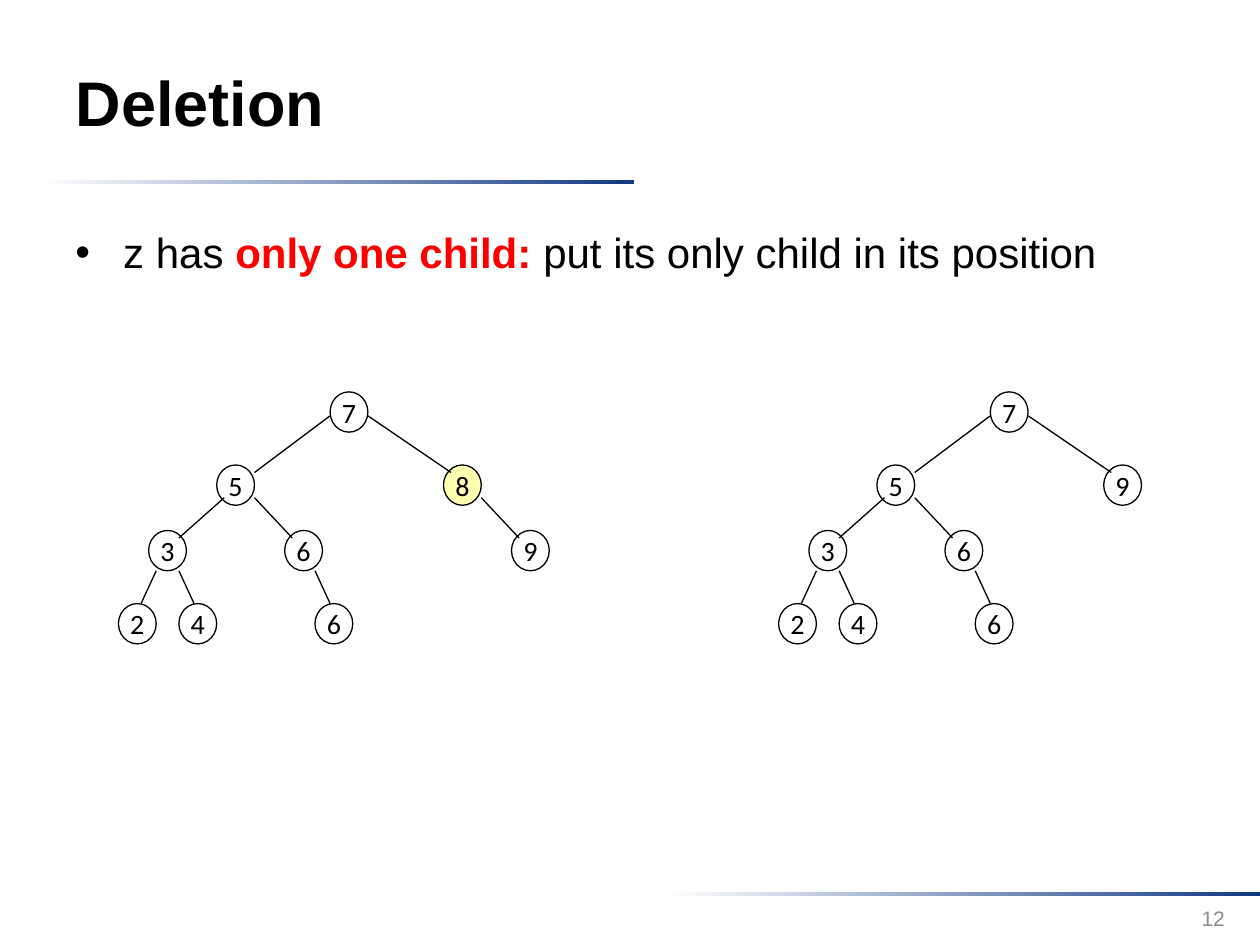
from dataclasses import dataclass
from typing import Optional

from lxml import etree
from pptx import Presentation
from pptx.dml.color import RGBColor
from pptx.enum.shapes import MSO_CONNECTOR, MSO_SHAPE
from pptx.enum.text import MSO_ANCHOR, PP_ALIGN
from pptx.oxml.ns import qn
from pptx.util import Inches, Pt

BLACK = RGBColor(0x00, 0x00, 0x00)
WHITE = RGBColor(0xFF, 0xFF, 0xFF)
RED = RGBColor(0xFF, 0x00, 0x00)
NAVY = RGBColor(0x13, 0x39, 0x84)
GREY = RGBColor(0x8C, 0x8C, 0x8C)
YELLOW = RGBColor(0xFF, 0xFF, 0x66)

NODE_WIDTH, NODE_HEIGHT = 0.3, 0.32
ROW_TOPS = (0, 0.58, 1.1, 1.68)

# For each parent row: the y at which an edge leaves the parent and meets the
# child, then the (parent, child) x for a left and for a right edge.
# All are measured from the top left of the node concerned.
EDGE_ENDS = (
    ((0.19, 0.06), (0, 0.3), (0.3, 0.06)),
    ((0.26, 0.06), (0.06, 0.24), (0.3, 0.06)),
    ((0.32, 0), (0.06, 0.18), (0.24, 0.12)),
)


@dataclass
class Node:
    key: int
    x: float
    left: Optional["Node"] = None
    right: Optional["Node"] = None
    marked: bool = False


def add_run(paragraph, text, size, color=BLACK, bold=False, font="Arial"):
    run = paragraph.add_run()
    run.text = text
    run.font.name = font
    run.font.size = Pt(size)
    run.font.bold = bold
    run.font.color.rgb = color


def add_title(slide, left, top, width, height):
    title = slide.shapes.title
    title.left, title.top = Inches(left), Inches(top)
    title.width, title.height = Inches(width), Inches(height)
    title.text_frame.vertical_anchor = MSO_ANCHOR.MIDDLE
    paragraph = title.text_frame.paragraphs[0]
    paragraph.alignment = PP_ALIGN.LEFT
    add_run(paragraph, "Deletion", 36, bold=True)


def add_rule(slide, left, top, width, height):
    """Thin bar that fades in from white on the left."""
    rule = slide.shapes.add_shape(MSO_SHAPE.RECTANGLE, Inches(left), Inches(top),
                                  Inches(width), Inches(height))
    rule.shadow.inherit = False
    rule.line.fill.background()
    rule.fill.gradient()
    rule.fill.gradient_angle = 0
    for stop, color in zip(rule.fill.gradient_stops, (WHITE, NAVY)):
        stop.color.rgb = color


def add_statement(slide, left, top, width, height):
    statement = slide.shapes.add_textbox(Inches(left), Inches(top),
                                         Inches(width), Inches(height))
    statement.text_frame.word_wrap = True
    paragraph = statement.text_frame.paragraphs[0]
    paragraph.space_before = Pt(3)
    properties = paragraph._p.get_or_add_pPr()
    indent = Inches(0.38)
    properties.set("marL", str(indent))
    properties.set("indent", str(-indent))
    etree.SubElement(properties, qn("a:buFont"), typeface="Arial")
    etree.SubElement(properties, qn("a:buChar"), char="•")
    add_run(paragraph, "z has ", 24)
    add_run(paragraph, "only one child: ", 24, RED, bold=True)
    add_run(paragraph, "put its only child in its position", 24)


def add_node(shapes, node, left, top):
    circle = shapes.add_shape(MSO_SHAPE.OVAL, Inches(left), Inches(top),
                              Inches(NODE_WIDTH), Inches(NODE_HEIGHT))
    circle.shadow.inherit = False
    circle.line.color.rgb = BLACK
    circle.line.width = Pt(0.75)
    if node.marked:
        circle.fill.solid()
        circle.fill.fore_color.rgb = YELLOW
        color = circle._element.spPr.find(qn("a:solidFill"))[0]
        etree.SubElement(color, qn("a:alpha"), val="50000")
    else:
        circle.fill.background()
    frame = circle.text_frame
    frame.word_wrap = False
    frame.vertical_anchor = MSO_ANCHOR.MIDDLE
    frame.paragraphs[0].alignment = PP_ALIGN.CENTER
    add_run(frame.paragraphs[0], str(node.key), 16, font="Calibri")


def add_edge(shapes, x1, y1, x2, y2):
    edge = shapes.add_connector(MSO_CONNECTOR.STRAIGHT, Inches(x1), Inches(y1),
                                Inches(x2), Inches(y2))
    edge.line.color.rgb = BLACK
    edge.line.width = Pt(0.75)
    etree.SubElement(edge._element.spPr, qn("a:effectLst"))


def add_subtree(shapes, node, left, top, row=0):
    """Draw the node, then its edges and children; left and top are the tree's."""
    node_top = top + ROW_TOPS[row]
    add_node(shapes, node, left + node.x, node_top)
    if node.left is None and node.right is None:
        return
    (leave_y, meet_y), *sides = EDGE_ENDS[row]
    for child, (leave_x, meet_x) in zip((node.left, node.right), sides):
        if child is None:
            continue
        add_subtree(shapes, child, left, top, row + 1)
        add_edge(shapes, left + node.x + leave_x, node_top + leave_y,
                 left + child.x + meet_x, top + ROW_TOPS[row + 1] + meet_y)


def add_tree(slide, root, left, top):
    add_subtree(slide.shapes.add_group_shape().shapes, root, left, top)


def add_slide_number(slide, left, top, width, height):
    number = slide.shapes.add_textbox(Inches(left), Inches(top),
                                      Inches(width), Inches(height))
    number.text_frame.word_wrap = True
    number.text_frame.vertical_anchor = MSO_ANCHOR.MIDDLE
    paragraph = number.text_frame.paragraphs[0]
    paragraph.alignment = PP_ALIGN.RIGHT
    add_run(paragraph, "12", 12, GREY)


def main():
    presentation = Presentation()
    presentation.slide_width = Inches(10)
    presentation.slide_height = Inches(7.5)
    slide = presentation.slides.add_slide(presentation.slide_layouts[5])

    add_rule(slide, 0.31, 1.43, 4.72, 0.03)
    add_rule(slide, 5.28, 7.08, 4.72, 0.03)
    add_title(slide, 0.5, 0.18, 7.73, 1.25)
    add_statement(slide, 0.5, 1.75, 9, 4.95)

    smaller_keys = Node(5, 0.78,
                        left=Node(3, 0.24, left=Node(2, 0), right=Node(4, 0.48)),
                        right=Node(6, 1.32, right=Node(6, 1.56)))
    deleted = Node(8, 2.58, right=Node(9, 3.12), marked=True)
    before = Node(7, 1.68, left=smaller_keys, right=deleted)
    after = Node(7, 1.68, left=smaller_keys, right=Node(9, deleted.x))
    add_tree(slide, before, 0.94, 3.11)
    add_tree(slide, after, 6.18, 3.11)

    add_slide_number(slide, 7.49, 7.09, 2.33, 0.4)
    presentation.save("out.pptx")


if __name__ == "__main__":
    main()
